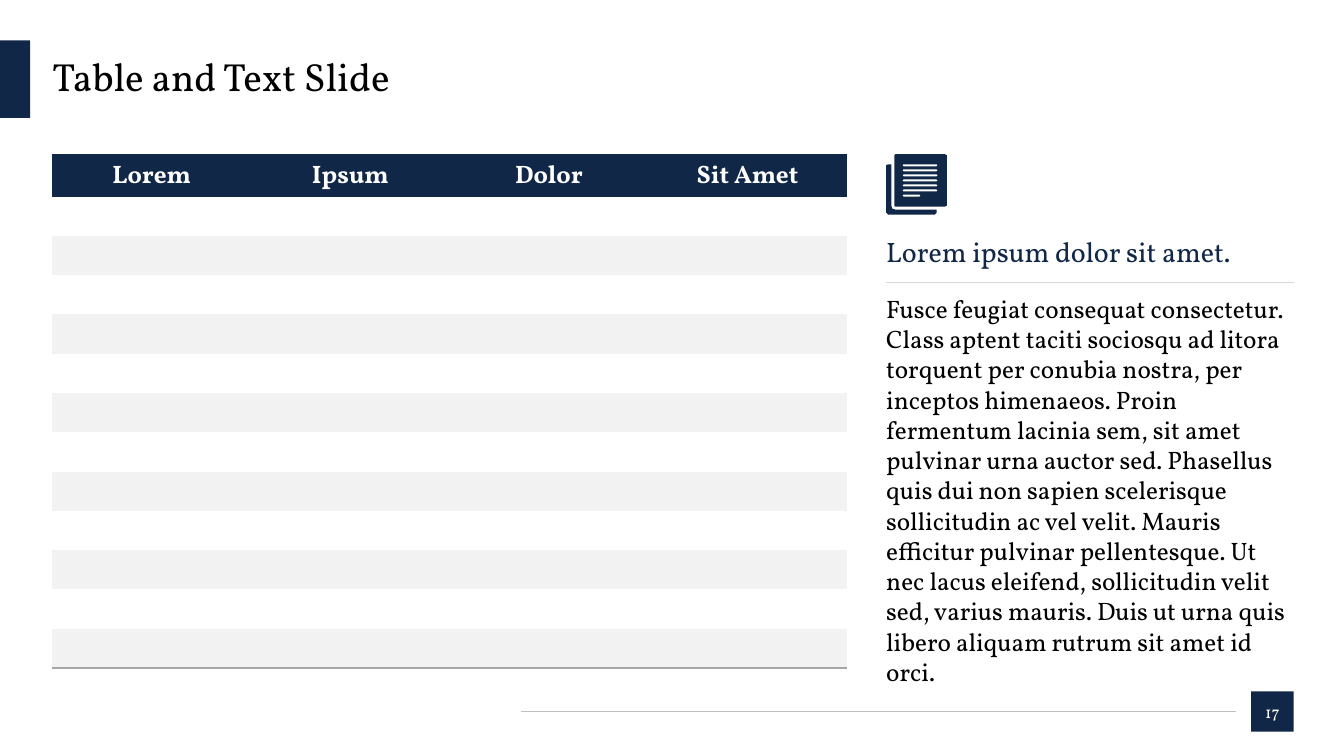
from lxml.etree import SubElement
from pptx import Presentation
from pptx.dml.color import RGBColor
from pptx.enum.shapes import MSO_CONNECTOR, MSO_SHAPE
from pptx.enum.text import MSO_ANCHOR, MSO_AUTO_SIZE, PP_ALIGN
from pptx.oxml import parse_xml
from pptx.oxml.ns import nsdecls, qn
from pptx.util import Pt

PX = 9144
FONT = "Vollkorn"
COLORS = {"navy": "102747", "black": "000000", "white": "FFFFFF", "band": "F2F2F2",
          "table_edge": "A6A6A6", "footer_rule": "BFBFBF", "heading_rule": "D9D9D9"}
NO_GRID_STYLE = "{2D5ABB26-0587-4C30-8999-92F81FD0307C}"

TITLE = "Table and Text Slide"
HEADERS = ["Lorem", "Ipsum", "Dolor", "Sit Amet"]
EMPTY_ROWS = 12
HEADING = "Lorem ipsum dolor sit amet."
BODY = (
    "Fusce feugiat consequat consectetur. Class aptent taciti sociosqu ad litora torquent "
    "per conubia nostra, per inceptos himenaeos. Proin fermentum lacinia sem, sit amet "
    "pulvinar urna auctor sed. Phasellus quis dui non sapien scelerisque sollicitudin ac "
    "vel velit. Mauris efficitur pulvinar pellentesque. Ut nec lacus eleifend, sollicitudin "
    "velit sed, varius mauris. Duis ut urna quis libero aliquam rutrum sit amet id orci."
)
PAGE_NUMBER = "17"

LEFT, RIGHT = 52, 1283
TOP, CONTENT_TOP = 40, 153
BAR_HEIGHT = 77
COLUMN_WIDTH, HEADER_HEIGHT, ROW_HEIGHT = 197, 42, 39
PANEL_LEFT = 879
PANEL_WIDTH = RIGHT - PANEL_LEFT

TEXT_BOXES = [
    (TITLE, (LEFT, TOP, RIGHT - LEFT, BAR_HEIGHT), 28, "black",
     {"vertical_anchor": MSO_ANCHOR.MIDDLE}, {"line_spacing": 0.9}),
    (BODY, (PANEL_LEFT, 291, PANEL_WIDTH, 333), 18, "black",
     {"auto_size": MSO_AUTO_SIZE.SHAPE_TO_FIT_TEXT}, {"space_after": Pt(12)}),
    (HEADING, (PANEL_LEFT, 233, PANEL_WIDTH, 34), 20, "navy",
     {"auto_size": MSO_AUTO_SIZE.SHAPE_TO_FIT_TEXT}, {"space_after": Pt(12)}),
]
BLOCKS = [("", (0, TOP, 30, BAR_HEIGHT)), (PAGE_NUMBER, (1241, 686, 42, 40))]
RULES = [(517, 1226, 706, "footer_rule"), (PANEL_LEFT, RIGHT, 280, "heading_rule")]

BACK_SHEET = [(888, 208), (885, 207), (884, 204), (884, 163), (881, 163), (879, 164),
              (879, 211), (881, 213), (927, 213), (929, 211), (929, 208)]
FRONT_SHEET = [(888, 153), (887, 154), (887, 204), (888, 205), (937, 205), (939, 204),
               (939, 154), (937, 153)]
SHEET_LINE_ENDS = [930] * 6 + [913]
SHEET_LINES = [
    [(896, y), (895, y + 1), (896, y + 2), (end - 1, y + 2), (end, y + 1), (end - 1, y)]
    for y, end in zip(range(163, 194, 5), SHEET_LINE_ENDS)
]


def rgb(name):
    return RGBColor.from_string(COLORS[name])


def apply(target, values):
    for key, value in values.items():
        setattr(target, key, value)


def write(frame, text, size, color, **paragraph_format):
    paragraph = frame.paragraphs[0]
    apply(paragraph, paragraph_format)
    run = paragraph.add_run()
    run.text = text
    apply(run.font, {"name": FONT, "size": Pt(size)})
    run.font.color.rgb = rgb(color)
    return run


def paint(shape):
    shape.shadow.inherit = False
    shape.fill.solid()
    shape.fill.fore_color.rgb = rgb("navy")
    shape.line.fill.background()


def draw_outline(shapes, contours):
    builder = shapes.build_freeform(*contours[0][0], scale=PX)
    for number, contour in enumerate(contours):
        if number:
            builder.move_to(*contour[0])
        builder.add_line_segments(contour[1:], close=True)
    paint(builder.convert_to_shape())


def draw_table(shapes):
    row_count = EMPTY_ROWS + 1
    height = HEADER_HEIGHT + EMPTY_ROWS * ROW_HEIGHT
    box = (LEFT, CONTENT_TOP, COLUMN_WIDTH * len(HEADERS), height)
    frame = shapes.add_table(row_count, len(HEADERS), *(v * PX for v in box))
    table = frame.table
    next(frame._element.iter(qn("a:tableStyleId"))).text = NO_GRID_STYLE
    for column in table.columns:
        column.width = COLUMN_WIDTH * PX
    for index, row in enumerate(table.rows):
        row.height = (ROW_HEIGHT if index else HEADER_HEIGHT) * PX
        fill = ("band", "white")[index % 2] if index else "navy"
        for cell, header in zip(row.cells, HEADERS):
            cell.vertical_anchor = MSO_ANCHOR.MIDDLE
            if index == 0:
                write(cell.text_frame, header, 18, "white",
                      alignment=PP_ALIGN.CENTER).font.bold = True
            else:
                apply(cell, {"margin_top": 0, "margin_bottom": 0})
            if index == EMPTY_ROWS:
                cell._tc.get_or_add_tcPr().append(parse_xml(
                    f'<a:lnB {nsdecls("a")} w="12700"><a:solidFill>'
                    f'<a:srgbClr val="{COLORS["table_edge"]}"/></a:solidFill></a:lnB>'))
            cell.fill.solid()
            cell.fill.fore_color.rgb = rgb(fill)


def main():
    deck = Presentation()
    apply(deck, {"slide_width": 1333 * PX, "slide_height": 750 * PX})
    shapes = deck.slides.add_slide(deck.slide_layouts[6]).shapes

    for text, box, size, color, frame_format, paragraph_format in TEXT_BOXES:
        frame = shapes.add_textbox(*(v * PX for v in box)).text_frame
        apply(frame, {"word_wrap": True, "margin_left": 0, "margin_right": 0,
                      "margin_top": 0, "margin_bottom": 0, **frame_format})
        write(frame, text, size, color, **paragraph_format)

    for text, box in BLOCKS:
        block = shapes.add_shape(MSO_SHAPE.RECTANGLE, *(v * PX for v in box))
        paint(block)
        if text:
            block.text_frame.vertical_anchor = MSO_ANCHOR.MIDDLE
            write(block.text_frame, text, 12, "white", alignment=PP_ALIGN.CENTER)

    for start, end, y, color in RULES:
        rule = shapes.add_connector(MSO_CONNECTOR.STRAIGHT, *(v * PX for v in (start, y, end, y)))
        rule.line.width = Pt(0.5)
        rule.line.color.rgb = rgb(color)
        SubElement(rule._element.spPr, qn("a:effectLst"))

    draw_table(shapes)
    draw_outline(shapes, [BACK_SHEET])
    draw_outline(shapes, [FRONT_SHEET, *SHEET_LINES])
    deck.save("out.pptx")


if __name__ == "__main__":
    main()
